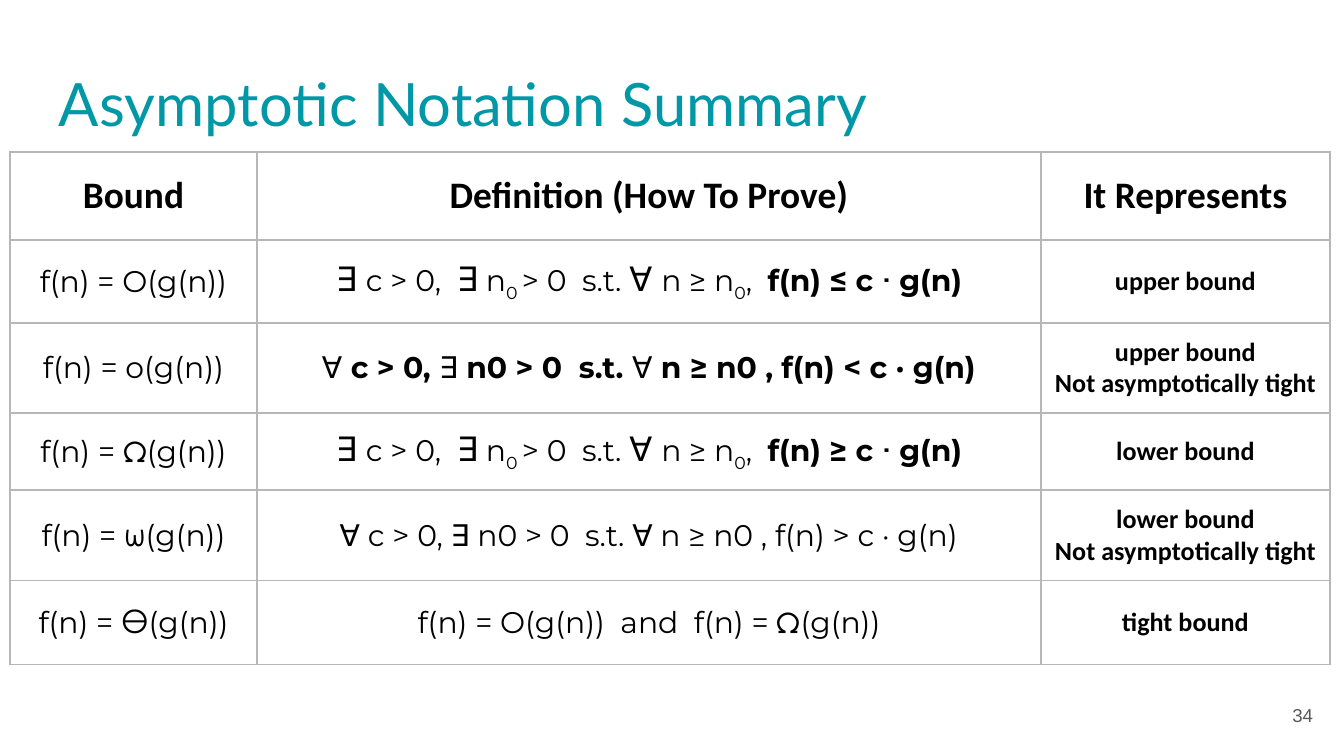
"""Builds the slide that summarises asymptotic notation in one table."""
from lxml.etree import SubElement
from pptx import Presentation
from pptx.dml.color import RGBColor
from pptx.enum.text import MSO_ANCHOR, PP_ALIGN
from pptx.oxml.ns import qn
from pptx.util import Pt

PX = 9144000 / 1344
INSET = round(13 * PX)
BORDER = "B7B7B7"

TITLE = ("Lato", 32, False, 0, "0097A7")
PAGE = ("Arial", 10, False, 0, "595959")
HEAD = ("Calibri", 20, True, 0, "000000")
NOTE = ("Calibri", 14, True, 0, "000000")
MATH = ("Montserrat", 16, False, 0, "000000")
STRONG = ("Montserrat", 16, True, 0, "000000")
QUANTIFIER = ("Montserrat", 18, False, 0, "000000")
SUBSCRIPT = ("Montserrat", 16, False, -25000, "000000")
GREEK = ("TeX Gyre Adventor", 16, False, 0, "000000")
THETA = ("Comfortaa", 16, False, 0, "000000")


def color(hex_code):
    return RGBColor.from_string(hex_code)


def write(frame, paragraphs, align):
    frame.word_wrap = True
    for index, runs in enumerate(paragraphs):
        paragraph = frame.add_paragraph() if index else frame.paragraphs[0]
        paragraph.alignment = align
        for text, (font, size, bold, baseline, ink) in runs:
            run = paragraph.add_run()
            run.text = text
            run.font.name = font
            run.font.size = Pt(size)
            run.font.bold = bold
            run.font.color.rgb = color(ink)
            if baseline:
                run.font._element.set("baseline", str(baseline))


presentation = Presentation()
presentation.slide_width = round(1344 * PX)
presentation.slide_height = round(756 * PX)
slide = presentation.slides.add_slide(presentation.slide_layouts[6])

for text, style, align, box in [
    ("Asymptotic Notation Summary", TITLE, PP_ALIGN.LEFT, (46, 55, 1253, 95)),
    ("34", PAGE, PP_ALIGN.RIGHT, (1246, 686, 80, 58)),
]:
    label = slide.shapes.add_textbox(*[round(side * PX) for side in box])
    frame = label.text_frame
    frame.vertical_anchor = MSO_ANCHOR.MIDDLE
    frame.margin_left = frame.margin_right = INSET
    frame.margin_top = frame.margin_bottom = INSET
    write(frame, [[(text, style)]], align)
    if style == TITLE:
        label.line.color.rgb = color("FFFFFF")
        label.line.width = Pt(2.25)

quantified = [
    ("∃ ", QUANTIFIER), ("c > 0,  ", MATH), ("∃", QUANTIFIER), (" n", MATH),
    ("0 ", SUBSCRIPT), ("> 0  s.t. ", MATH), ("∀ ", QUANTIFIER),
    ("n ≥ n", MATH), ("0", SUBSCRIPT), (",  ", MATH),
]
little_o = [
    ("∀", MATH), (" c > 0, ", STRONG), ("∃", MATH), (" n0 > 0  s.t. ", STRONG),
    ("∀", MATH), (" n ≥ n0 , f(n) < c · g(n)", STRONG),
]
little_omega = [("∀ c > 0, ∃ n0 > 0  s.t. ∀ n ≥ n0 , f(n) > c · g(n)", MATH)]
theta = [("f(n) = O(g(n))  and  f(n) = ", MATH), ("Ω", GREEK), ("(g(n))", MATH)]
bounds = [
    ("O", MATH, quantified + [("f(n) ≤ c ᐧ g(n)", STRONG)], ["upper bound"]),
    ("o", MATH, little_o, ["upper bound", "Not asymptotically tight"]),
    ("Ω", GREEK, quantified + [("f(n) ≥ c ᐧ g(n)", STRONG)], ["lower bound"]),
    ("ω", GREEK, little_omega, ["lower bound", "Not asymptotically tight"]),
    ("Ө", THETA, theta, ["tight bound"]),
]
headings = ["Bound", "Definition (How To Prove)", "It Represents"]
rows = [[[[(heading, HEAD)]] for heading in headings]]
for symbol, symbol_style, definition, meanings in bounds:
    notation = [("f(n) = ", MATH), (symbol, symbol_style), ("(g(n))", MATH)]
    rows.append([[notation], [definition], [[(line, NOTE)] for line in meanings]])

column_widths = [247, 784, 289]
row_heights = [88, 83, 90, 77, 91, 84]
summary = slide.shapes.add_table(
    len(rows), len(column_widths), round(10 * PX), round(152 * PX),
    round(sum(column_widths) * PX), round(sum(row_heights) * PX),
).table
summary.first_row = summary.horz_banding = False
for column, width in zip(summary.columns, column_widths):
    column.width = round(width * PX)
for row, height in zip(summary.rows, row_heights):
    row.height = round(height * PX)

for row_index, row in enumerate(rows):
    for column_index, paragraphs in enumerate(row):
        cell = summary.cell(row_index, column_index)
        cell.vertical_anchor = MSO_ANCHOR.MIDDLE
        cell.margin_left = cell.margin_right = INSET
        cell.margin_top = cell.margin_bottom = INSET
        write(cell.text_frame, paragraphs, PP_ALIGN.CENTER)
        properties = cell._tc.get_or_add_tcPr()
        for side in ("a:lnL", "a:lnR", "a:lnT", "a:lnB"):
            edge = SubElement(properties, qn(side), w=str(Pt(0.75)))
            SubElement(SubElement(edge, qn("a:solidFill")), qn("a:srgbClr"), val=BORDER)
        if row_index:
            cell.fill.background()
        else:
            cell.fill.solid()
            cell.fill.fore_color.rgb = color("FFFFFF")

presentation.save("out.pptx")
